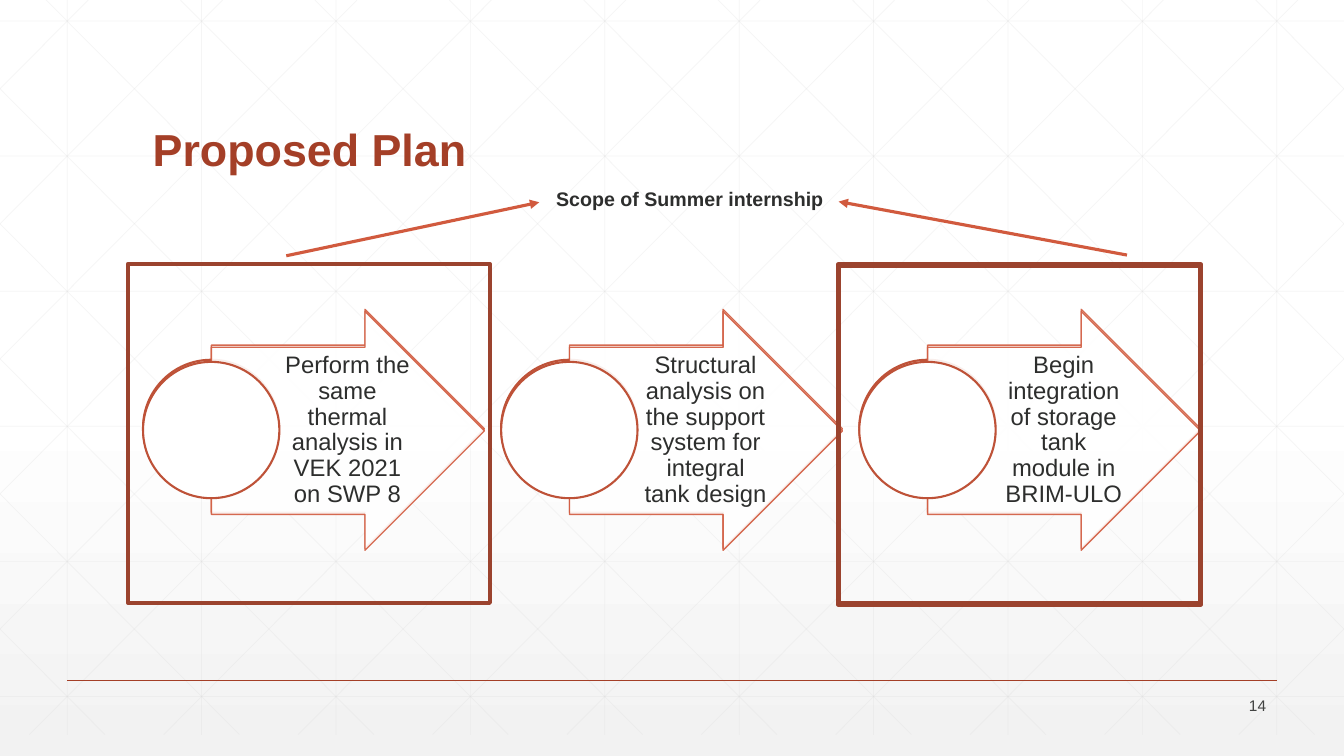
from lxml import etree
from pptx import Presentation, util as u
from pptx.dml.color import RGBColor
from pptx.enum import shapes, text
from pptx.oxml.ns import qn

WHITE = RGBColor(0xFF, 0xFF, 0xFF)
SMOKE = RGBColor(0xF2, 0xF2, 0xF2)
MESH = RGBColor(0xD9, 0xD9, 0xD9)
RUST = RGBColor(0xA4, 0x3F, 0x27)
FRAME = RGBColor(0x9B, 0x43, 0x2E)
RING = RGBColor(0xBE, 0x52, 0x38)
CORAL = RGBColor(0xD1, 0x5A, 0x3E)
INK = RGBColor(0x2D, 0x2E, 0x2D)
GREY = RGBColor(0x42, 0x43, 0x42)

WIDE, HIGH = 960, 540
FOOT = 525  # lower end of the mesh
STEPS = [
    "Perform the same thermal analysis in VEK 2021 on SWP 8",
    "Structural analysis on the support system for integral tank design",
    "Begin integration of storage tank module in BRIM-ULO",
]


class Board:
    """Holds the font and the slide that is being drawn."""

    def __init__(self, slide, font):
        self.slide = slide
        self.font = font

    def apply(self, item, values):
        for name, value in values.items():
            setattr(item, name, value)

    def fade(self, fill, alpha):
        color = fill._xPr.find(qn("a:solidFill"))[0]
        etree.SubElement(color, qn("a:alpha"), val=str(alpha * 1000))

    def ground(self):
        fill = self.slide.background.fill
        fill.gradient()
        fill.gradient_angle = 270
        for stop, place, color in zip(fill.gradient_stops, (0.53, 1), (WHITE, SMOKE)):
            stop.position = place
            stop.color.rgb = color

    def line(self, start, end, color, width, alpha=None, arrow=False):
        ends = [u.Pt(v) for v in (*start, *end)]
        item = self.slide.shapes.add_connector(shapes.MSO_CONNECTOR.STRAIGHT, *ends)
        item.line.color.rgb = color
        item.line.width = u.Pt(width)
        if alpha:
            self.fade(item.line.fill, alpha)
        if arrow:
            etree.SubElement(item.line._get_or_add_ln(), qn("a:tailEnd"), type="triangle")
        etree.SubElement(item._element.spPr, qn("a:effectLst"))

    def shape(self, kind, box, color, width, fill=None, alpha=None):
        item = self.slide.shapes.add_shape(kind, *[u.Pt(v) for v in box])
        item.shadow.inherit = False
        item.line.color.rgb = color
        item.line.width = u.Pt(width)
        if fill is None:
            item.fill.background()
        else:
            item.fill.solid()
            item.fill.fore_color.rgb = fill
        if alpha:
            self.fade(item.fill, alpha)
            self.fade(item.line.fill, alpha)
        return item

    def text(self, words, box, size, color, bold=False, inset=None, anchor="TOP", **para):
        item = self.slide.shapes.add_textbox(*[u.Pt(v) for v in box])
        frame = item.text_frame
        look = {"word_wrap": True, "vertical_anchor": text.MSO_ANCHOR[anchor]}
        if inset:
            sides = ("left", "top", "right", "bottom")
            look.update({f"margin_{s}": u.Pt(v) for s, v in zip(sides, inset)})
        self.apply(frame, look)
        block = frame.paragraphs[0]
        self.apply(block, para)
        run = block.add_run()
        run.text = words
        self.apply(run.font, {"name": self.font, "size": u.Pt(size), "bold": bold})
        run.font.color.rgb = color

    def mesh(self):
        pen = {"color": MESH, "width": 0.5, "alpha": 25}
        for x in range(48, WIDE, 96):
            self.line((x, 0), (x, FOOT), **pen)
        for row in range(6):
            y = 15 + 96.5 * row
            self.line((0, y), (WIDE, y), **pen)
        # Each falling diagonal has a mirrored twin
        for top in range(-462, 900, 96):
            left, right = max(0, top + 15), min(WIDE, top + 537)
            low, high = [1.005 * (x - top) - 15 for x in (left, right)]
            self.line((left, low), (right, high), **pen)
            self.line((WIDE - left, low), (WIDE - right, high), **pen)

    def flow(self, drop, label):
        kind = shapes.MSO_SHAPE
        for i, words in enumerate(STEPS):
            x = 255.8 * i
            arrow = self.shape(kind.RIGHT_ARROW, (151 + x, 221 + drop, 195, 170.6),
                               CORAL, 1, WHITE, 90)
            arrow.adjustments[0] = 0.7
            arrow.adjustments[1] = 0.5
            if label:
                self.text(words, (199.6 + x, 246.2 + drop, 95, 119.5), 17, INK,
                          inset=(3.6, 0.7, 1.4, 0.7), anchor="MIDDLE",
                          alignment=text.PP_ALIGN.CENTER, line_spacing=0.9)
            self.shape(kind.OVAL, (102.2 + x, 257 + drop, 97.4, 97.4), RING, 1.5, WHITE)

    def frame(self, x, y):
        self.shape(shapes.MSO_SHAPE.RECTANGLE, (x, y, 258.5, 242), FRAME, 3)


def main():
    deck = Presentation()
    deck.slide_width, deck.slide_height = u.Pt(WIDE), u.Pt(HIGH)
    board = Board(deck.slides.add_slide(deck.slide_layouts[6]), "Arial")

    # Background, footer rule and title
    board.ground()
    board.mesh()
    board.line((48, 486), (912, 486), RUST, 1)
    board.text("Proposed Plan", (102, 39.6, 756, 90), 32, RUST, bold=True,
               anchor="BOTTOM", line_spacing=0.9)

    # Rear layer of the flow, page number
    board.flow(0, label=False)
    board.text("14", (839.5, 495.4, 72, 17.3), 11, GREY, anchor="MIDDLE",
               alignment=text.PP_ALIGN.RIGHT)

    # Frames and the scope they point to
    board.frame(91.4, 188.6)
    board.frame(599, 188.6)
    board.line((204.5, 182.7), (385.2, 144.5), CORAL, 2.25, arrow=True)
    board.line((805, 182.2), (599, 144), CORAL, 2.25, arrow=True)
    board.text("Scope of Summer internship", (390.2, 130.2, 225.4, 24.5), 14, INK, bold=True)

    # Front layer, set slightly lower
    board.flow(1.5, label=True)
    board.frame(599, 190.1)

    deck.save("out.pptx")


if __name__ == "__main__":
    main()
